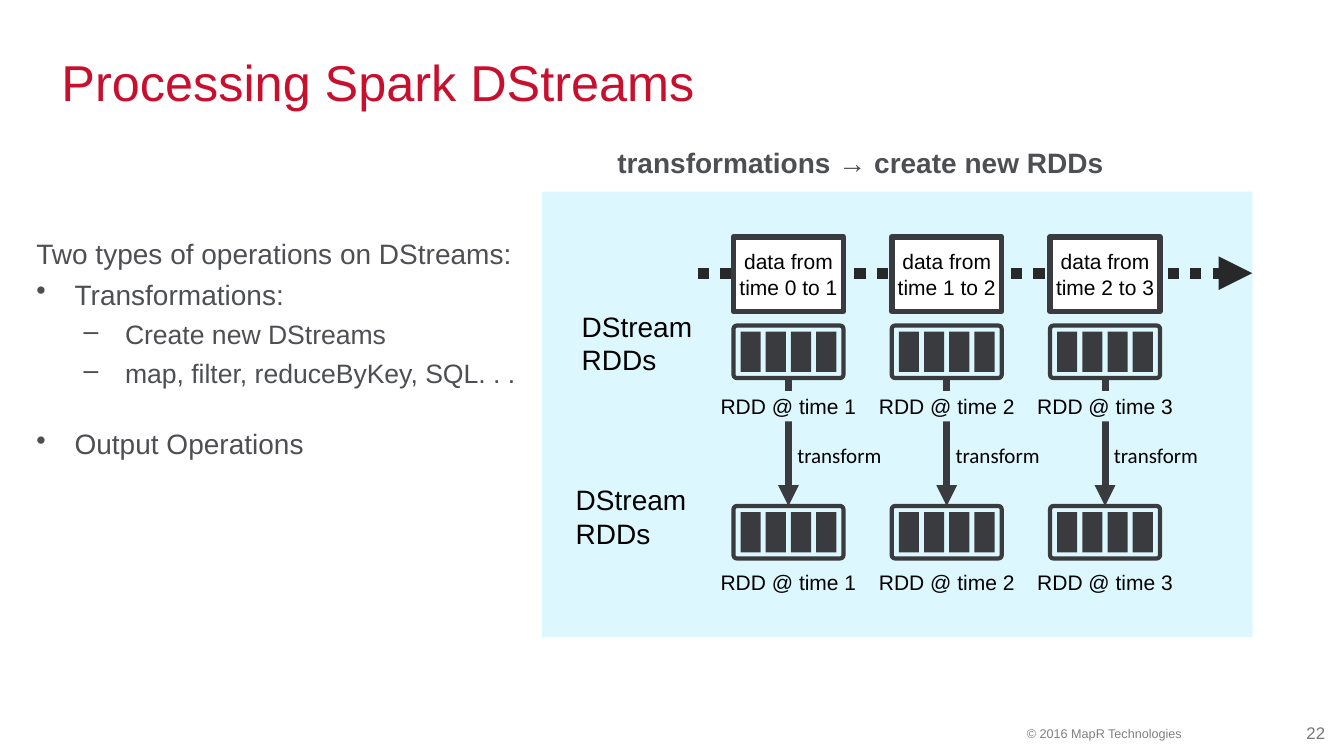
from dataclasses import dataclass

import pptx
import pptx.dml.color
import pptx.enum.dml
import pptx.enum.shapes
import pptx.enum.text
import pptx.oxml
import pptx.oxml.ns
import pptx.util
from pptx.util import Inches

ALIGN = pptx.enum.text.PP_ALIGN
ANCHOR = pptx.enum.text.MSO_ANCHOR
SHAPE = pptx.enum.shapes.MSO_SHAPE

RED, GREY, BLACK, WHITE = "C8102E", "4D4F53", "000000", "FFFFFF"
DARK, PALE_BLUE = "3A3B3E", "DDF7FF"

FIRST_CENTRE, COLUMN_PITCH = 7.82, 1.57
RACK_WIDTH, RACK_HEIGHT = 1.09, 0.52
CELL_COUNT, CELL_PITCH = 4, 0.25


@dataclass
class Style:
    size: float
    colour: str = BLACK
    font: str = "Arial"
    bold: bool = False
    align: ALIGN = ALIGN.LEFT


@dataclass
class Label:
    lines: list[str]
    area: tuple[float, float, float, float]
    style: Style
    insets: tuple[float, float] = (0.1, 0.05)


@dataclass
class Point:
    words: str
    size: float
    before: float
    bullet: str = ""
    margin: float = 0
    hanging: float = 0


@dataclass
class RackRow:
    centre: float
    label_top: float


CENTRED = Style(15, align=ALIGN.CENTER)
TRANSFORM = Style(15, font="Calibri", align=ALIGN.CENTER)

LABELS = [
    Label(["© 2016 MapR Technologies"], (9.14, 7.2, 2.58, 0.16),
          Style(9, "808080", align=ALIGN.RIGHT), (0, 0)),
    Label(["22"], (12.86, 7.12, 0.94, 0.33), Style(12, "747678")),
    Label(["transformations → create new RDDs"], (5.27, 1.39, 6.53, 0.44),
          Style(20, GREY, bold=True, align=ALIGN.CENTER)),
    Label(["DStream", "RDDs"], (5.67, 3.02, 1.6, 0.77), Style(20)),
    Label(["DStream", "RDDs"], (5.67, 4.77, 1.6, 0.73), Style(20), (0.04, 0.02)),
]

POINTS = [
    Point("Two types of operations on DStreams:", 20, 0),
    Point("Transformations:", 20, 5, "•", 0.38, 0.38),
    Point("Create new DStreams", 19, 5, "–", 0.88, 0.41),
    Point("map, filter, reduceByKey, SQL. . .", 19, 5, "–", 0.88, 0.41),
    Point("Output Operations", 20, 27, "•", 0.38, 0.38),
]

UPPER_ROW, LOWER_ROW = RackRow(3.49, 3.88), RackRow(5.28, 5.63)


def rgb(colour: str) -> pptx.dml.color.RGBColor:
    return pptx.dml.color.RGBColor.from_string(colour)


def add_span(para, words: str, style: Style) -> None:
    para.alignment = style.align
    span = para.add_run()
    span.text = words
    span.font.name = style.font
    span.font.size = pptx.util.Pt(style.size)
    span.font.bold = style.bold
    span.font.color.rgb = rgb(style.colour)


def set_frame(frame, across: float, down: float, anchor: ANCHOR = ANCHOR.TOP) -> None:
    frame.word_wrap = True
    frame.auto_size = pptx.enum.text.MSO_AUTO_SIZE.NONE
    frame.vertical_anchor = anchor
    frame.margin_left = frame.margin_right = Inches(across)
    frame.margin_top = frame.margin_bottom = Inches(down)


def add_label(page, label: Label) -> None:
    box = page.shapes.add_textbox(*map(Inches, label.area))
    frame = box.text_frame
    set_frame(frame, *label.insets)
    for index, line in enumerate(label.lines):
        para = frame.add_paragraph() if index else frame.paragraphs[0]
        add_span(para, line, label.style)


def add_box(page, kind: SHAPE, centre: tuple[float, float], size: tuple[float, float],
            fill: str = "", line: str = "", weight: float = 0):
    """Draw a preset shape around its centre; an empty colour means none."""
    (x, y), (width, height) = centre, size
    box = page.shapes.add_shape(kind, Inches(x - width / 2), Inches(y - height / 2),
                                Inches(width), Inches(height))
    box.shadow.inherit = False
    if fill:
        box.fill.solid()
        box.fill.fore_color.rgb = rgb(fill)
    else:
        box.fill.background()
    if line:
        box.line.color.rgb = rgb(line)
        box.line.width = pptx.util.Pt(weight)
    else:
        box.line.fill.background()
    return box


def add_caption(box, words: str, wrap: bool) -> None:
    set_frame(box.text_frame, 0, 0.05, ANCHOR.MIDDLE)
    box.text_frame.word_wrap = wrap
    add_span(box.text_frame.paragraphs[0], words, CENTRED)


def add_arrow(page, start: tuple[float, float], end: tuple[float, float],
              colour: str, weight: float):
    arrow = page.shapes.add_connector(pptx.enum.shapes.MSO_CONNECTOR.STRAIGHT,
                                      *map(Inches, start + end))
    arrow.line.color.rgb = rgb(colour)
    arrow.line.width = pptx.util.Pt(weight)
    head = pptx.oxml.parse_xml(
        f'<a:tailEnd {pptx.oxml.ns.nsdecls("a")} type="triangle"/>')
    arrow.line._get_or_add_ln().append(head)
    effects = pptx.oxml.parse_xml(f'<a:effectLst {pptx.oxml.ns.nsdecls("a")}/>')
    arrow._element.spPr.append(effects)
    return arrow


def add_rack(page, x: float, y: float):
    """Draw one RDD: a rounded frame holding its partitions."""
    rack = add_box(page, SHAPE.ROUNDED_RECTANGLE, (x, y), (RACK_WIDTH, RACK_HEIGHT),
                   line=DARK, weight=3)
    rack.adjustments[0] = 0.06
    for index in range(CELL_COUNT):
        offset = (index - (CELL_COUNT - 1) / 2) * CELL_PITCH
        add_box(page, SHAPE.RECTANGLE, (x + offset, y), (0.2, 0.4), DARK)
    return rack


def add_interval(page, index: int) -> None:
    """Draw one column: batch of data, its RDD, and the transformed RDD."""
    x = FIRST_CENTRE + index * COLUMN_PITCH
    batch = add_box(page, SHAPE.RECTANGLE, (x, 2.72), (RACK_WIDTH, 0.74), WHITE, DARK, 4)
    add_caption(batch, f"data from time {index} to {index + 1}", True)
    upper = add_rack(page, x, UPPER_ROW.centre)
    lower = add_rack(page, x, LOWER_ROW.centre)
    arrow = add_arrow(page, (x, 3.75), (x, 5.02), DARK, 5)
    arrow.begin_connect(upper, 2)
    arrow.end_connect(lower, 0)
    for row in (UPPER_ROW, LOWER_ROW):
        name = add_box(page, SHAPE.RECTANGLE, (x, row.label_top + 0.15), (1.55, 0.3), PALE_BLUE)
        add_caption(name, f"RDD @ time {index + 1}", False)
    add_label(page, Label(["transform"], (x - 0.18, 4.39, 1.37, 0.25), TRANSFORM, (0.1, 0)))


def add_points(page) -> None:
    box = page.shapes.add_textbox(*map(Inches, (0.23, 2.28, 5.19, 2.59)))
    set_frame(box.text_frame, 0.13, 0.07)
    for index, point in enumerate(POINTS):
        para = box.text_frame.add_paragraph() if index else box.text_frame.paragraphs[0]
        if point.bullet:
            properties = para._p.get_or_add_pPr()
            properties.set("marL", str(Inches(point.margin)))
            properties.set("indent", str(-Inches(point.hanging)))
            properties.append(pptx.oxml.parse_xml(
                f'<a:buChar {pptx.oxml.ns.nsdecls("a")} char="{point.bullet}"/>'))
        if index:
            para.space_before = pptx.util.Pt(point.before)
        add_span(para, point.words, Style(point.size, GREY))


def main() -> None:
    deck = pptx.Presentation()
    deck.slide_width, deck.slide_height = Inches(13.33), Inches(7.5)
    page = deck.slides.add_slide(deck.slide_layouts.get_by_name("Title Only"))

    title = page.shapes.title
    title.left, title.top, title.width, title.height = map(Inches, (0.48, 0.3, 12, 1.01))
    set_frame(title.text_frame, 0.13, 0.07, ANCHOR.MIDDLE)
    add_span(title.text_frame.paragraphs[0], "Processing Spark DStreams", Style(36, RED))

    add_points(page)
    add_box(page, SHAPE.RECTANGLE, (8.9, 4.11), (7.05, 4.42), PALE_BLUE)
    for label in LABELS:
        add_label(page, label)
    timeline = add_arrow(page, (6.92, 2.71), (12.42, 2.71), "26282A", 8)
    timeline.line.dash_style = pptx.enum.dml.MSO_LINE.ROUND_DOT
    for index in range(3):
        add_interval(page, index)
    deck.save("out.pptx")


if __name__ == "__main__":
    main()
